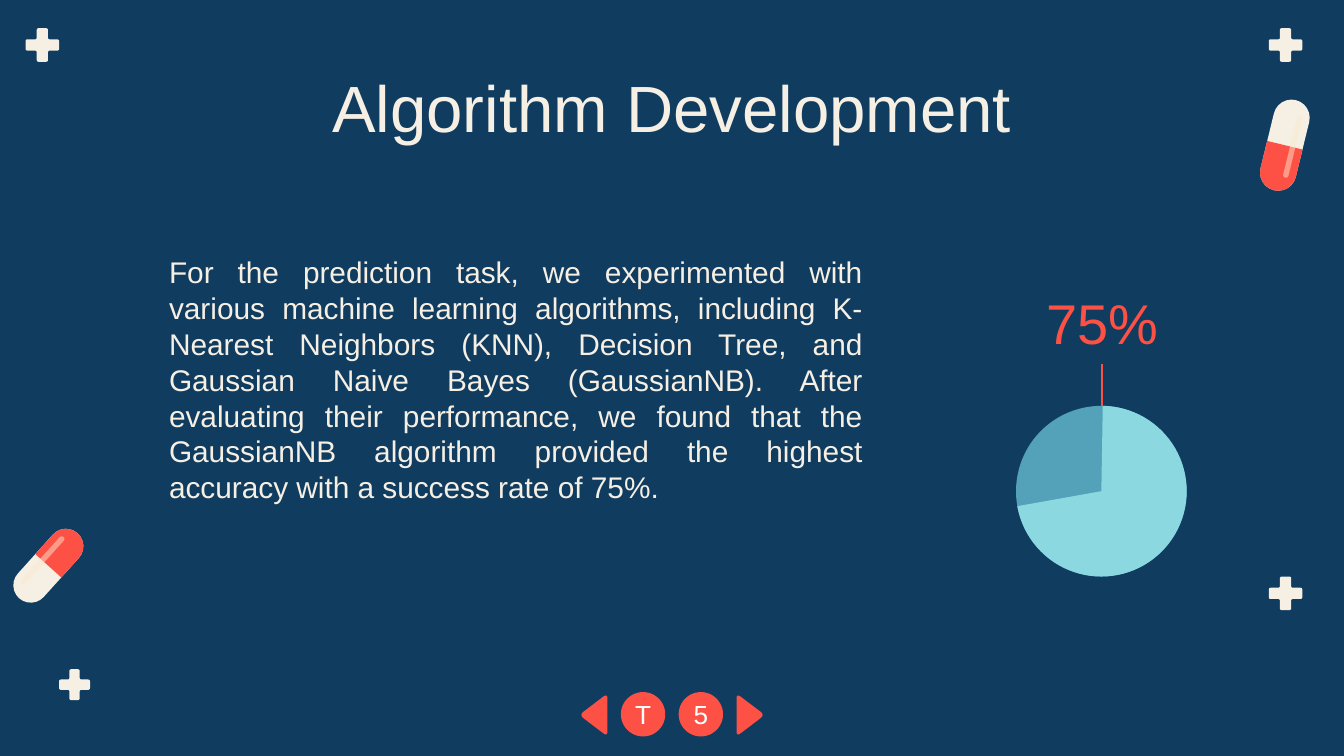
import math
import pptx
import pptx.util
import pptx.dml.color
import pptx.enum.shapes
import pptx.enum.text
import pptx.oxml.ns
import lxml.etree

Inches = pptx.util.Inches
Pt = pptx.util.Pt
RGBColor = pptx.dml.color.RGBColor
Shape = pptx.enum.shapes.MSO_SHAPE
Align = pptx.enum.text.PP_ALIGN
Anchor = pptx.enum.text.MSO_ANCHOR

NAVY = RGBColor(0x10, 0x3C, 0x60)
CREAM = RGBColor(0xF6, 0xEF, 0xE4)
SAND = RGBColor(0xFA, 0xE9, 0xCD)
RED = RGBColor(0xFE, 0x51, 0x45)
TEAL = RGBColor(0x53, 0xA2, 0xB9)
AQUA = RGBColor(0x8C, 0xD8, 0xE1)
WHITE = RGBColor(0xFF, 0xFF, 0xFF)

deck = pptx.Presentation()
deck.slide_width = Inches(10)
deck.slide_height = Inches(10 * 9 / 16)
slide = deck.slides.add_slide(deck.slide_layouts[5])
slide.background.fill.solid()
slide.background.fill.fore_color.rgb = NAVY


def paint(shape, color):
    shape.shadow.inherit = False
    shape.fill.solid()
    shape.fill.fore_color.rgb = color
    shape.line.fill.background()
    return shape


def write(shape, text, size, color, align, anchor):
    frame = shape.text_frame
    frame.word_wrap = True
    frame.auto_size = pptx.enum.text.MSO_AUTO_SIZE.NONE
    frame.vertical_anchor = anchor
    frame.margin_left = frame.margin_right = Inches(0.1)
    frame.margin_top = frame.margin_bottom = Inches(0.1)
    para = frame.paragraphs[0]
    para.alignment = align
    run = para.add_run()
    run.text = text
    run.font.name = "Arial"
    run.font.size = Pt(size)
    run.font.color.rgb = color
    return frame


title = slide.shapes.title
title.left, title.top = Inches(0.78), Inches(0.4)
title.width, title.height = Inches(8.44), Inches(0.63)
write(title, "Algorithm Development", 35, CREAM, Align.CENTER, Anchor.TOP)

icons = []
for left, top, size in [(0.19, 0.21, 0.25), (9.44, 0.21, 0.25),
                        (9.44, 4.29, 0.25), (0.44, 4.98, 0.23)]:
    near, far = size / 3, size * 2 / 3
    cross = [(near, 0), (far, 0), (far, near), (size, near), (size, far), (far, far),
             (far, size), (near, size), (near, far), (0, far), (0, near), (near, near)]
    icons.append(([(left + x, top + y) for x, y in cross], CREAM, 0.015))
for base, tip in [(4.52, 4.31), (5.48, 5.69)]:
    icons.append(([(base, 5.16), (tip, 5.32), (base, 5.48)], RED, 0.04))

for corners, color, radius in icons:
    points = []
    for i, (x, y) in enumerate(corners):
        ends = []
        for a, b in (corners[i - 1], corners[(i + 1) % len(corners)]):
            part = radius / math.hypot(a - x, b - y)
            ends.append((x + (a - x) * part, y + (b - y) * part))
        (ax, ay), (bx, by) = ends
        for step in range(7):
            t = step / 6
            points.append((Inches((1 - t) ** 2 * ax + 2 * t * (1 - t) * x + t * t * bx),
                           Inches((1 - t) ** 2 * ay + 2 * t * (1 - t) * y + t * t * by)))
    pen = slide.shapes.build_freeform(*points[0])
    pen.add_line_segments(points[1:], close=True)
    paint(pen.convert_to_shape(), color)

for x, y, width, length, angle in [(0.36, 4.21, 0.26, 0.65, 42),
                                   (9.56, 1.08, 0.27, 0.69, 193.7)]:
    sin, cos = math.sin(math.radians(angle)), math.cos(math.radians(angle))
    for kind, wide, high, side, rise, color in [
            (Shape.ROUNDED_RECTANGLE, width, length, 0, 0, CREAM),
            (Shape.ROUND_2_SAME_RECTANGLE, width, length / 2, 0, length / 4, RED),
            (Shape.ROUNDED_RECTANGLE, 0.04, 0.47, -0.06, 0, SAND)]:
        mid, level = x + side * cos + rise * sin, y + side * sin - rise * cos
        part = paint(slide.shapes.add_shape(
            kind, Inches(mid - wide / 2), Inches(level - high / 2),
            Inches(wide), Inches(high)), color)
        part.adjustments[0] = 0.5
        part.rotation = angle
    shade = part._element.spPr.find(".//" + pptx.oxml.ns.qn("a:srgbClr"))
    lxml.etree.SubElement(shade, pptx.oxml.ns.qn("a:alpha"), val="49000")

for kind, color in [(Shape.OVAL, TEAL), (Shape.PIE, AQUA)]:
    pie = paint(slide.shapes.add_shape(
        kind, Inches(7.56), Inches(3.02), Inches(1.27), Inches(1.27)), color)
pie.adjustments[0] = 162.58
pie.adjustments[1] = 101.91

stem = slide.shapes.add_connector(
    pptx.enum.shapes.MSO_CONNECTOR.STRAIGHT,
    Inches(8.2), Inches(2.71), Inches(8.2), Inches(3.02))
stem.line.color.rgb = RED
stem.line.width = Pt(1.5)
lxml.etree.SubElement(stem._element.spPr, pptx.oxml.ns.qn("a:effectLst"))

rate = slide.shapes.add_textbox(Inches(7.39), Inches(2.08), Inches(1.62), Inches(0.63))
write(rate, "75%", 30, RED, Align.CENTER, Anchor.MIDDLE)

for left, label in [(4.62, "T"), (5.05, "5")]:
    button = paint(slide.shapes.add_shape(
        Shape.OVAL, Inches(left), Inches(5.15), Inches(0.33), Inches(0.33)), RED)
    frame = write(button, label, 14, WHITE, Align.CENTER, Anchor.MIDDLE)
    frame.margin_left = frame.margin_right = 0

body = slide.shapes.add_textbox(Inches(1.16), Inches(1.79), Inches(5.36), Inches(2.69))
write(
    body,
    "For the prediction task, we experimented with various machine learning "
    "algorithms, including K-Nearest Neighbors (KNN), Decision Tree, and Gaussian "
    "Naive Bayes (GaussianNB). After evaluating their performance, we found that "
    "the GaussianNB algorithm provided the highest accuracy with a success rate of 75%.",
    16, CREAM, Align.JUSTIFY, Anchor.TOP)

deck.save("out.pptx")
